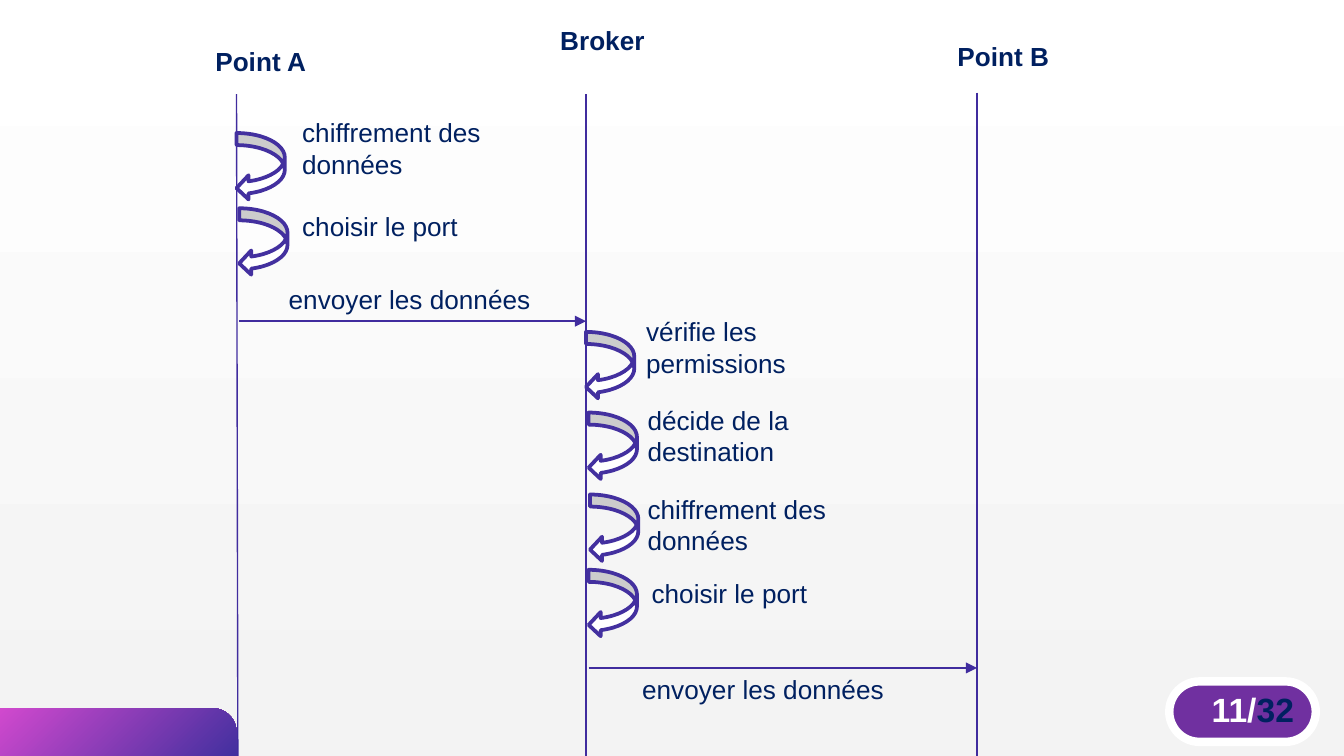
from typing import NamedTuple

from lxml import etree
from pptx import Presentation
from pptx import util as u
from pptx.dml.color import RGBColor
from pptx.enum import shapes, text
from pptx.oxml import ns

COLOURS = {
    "line": "402C9E",
    "arrow": "43309F",
    "text": "002060",
    "white": "FFFFFF",
    "grey": "F3F3F3",
    "pink": "D149CE",
    "badge": "7030A0",
}
FONT = "Arial"
SLIDE_WIDTH = 10
SLIDE_HEIGHT = SLIDE_WIDTH * 9 / 16
CORNER_TOP = 5.27
LOOP_WIDTH, LOOP_HEIGHT = 0.36, 0.5
ONE_LINE, TWO_LINES = 0.34, 0.57


class Lifeline(NamedTuple):
    x: float
    top: float
    end_x: float


class Label(NamedTuple):
    wording: str
    left: float
    top: float
    width: float
    height: float = ONE_LINE
    heading: bool = False


class Loop(NamedTuple):
    left: float
    top: float


class Message(NamedTuple):
    start_x: float
    end_x: float
    y: float


LIFELINES = [
    Lifeline(1.76, 0.7, 1.77),
    Lifeline(4.36, 0.7, 4.36),
    Lifeline(7.27, 0.69, 7.27),
]
LOOPS = [
    Loop(1.76, 0.99),
    Loop(1.78, 1.55),
    Loop(4.36, 2.47),
    Loop(4.38, 3.07),
    Loop(4.39, 3.68),
    Loop(4.38, 4.24),
]
MESSAGES = [Message(1.78, 4.36, 2.39), Message(4.38, 7.27, 4.97)]
LABELS = [
    Label("Point A", 1.03, 0.29, 1.82, heading=True),
    Label("Broker ", 3.78, 0.13, 1.46, heading=True),
    Label("Point B", 6.7, 0.25, 1.53, heading=True),
    Label("chiffrement des données", 2.15, 0.82, 1.64, TWO_LINES),
    Label("choisir le port", 2.15, 1.52, 1.47),
    Label("envoyer les données", 2.05, 2.06, 2.23),
    Label("vérifie les permissions", 4.71, 2.3, 1.64, TWO_LINES),
    Label("décide de la destination", 4.72, 2.96, 1.64, TWO_LINES),
    Label("chiffrement des données", 4.72, 3.62, 1.64, TWO_LINES),
    Label("choisir le port", 4.75, 4.25, 1.47),
    Label("envoyer les données", 4.68, 4.96, 2.23),
]


def colour(name: str) -> RGBColor:
    return RGBColor.from_string(COLOURS[name])


def fill_gradient(fill, start: str, end: str, angle: float) -> None:
    fill.gradient()
    fill.gradient_angle = angle
    for stop, name in zip(fill.gradient_stops, (start, end)):
        stop.color.rgb = colour(name)


def format_run(run, size: float, name: str, bold: bool) -> None:
    run.font.name = FONT
    run.font.size = u.Pt(size)
    run.font.bold = bold
    run.font.color.rgb = colour(name)


def add_preset(slide, preset, left: float, top: float, width: float, height: float):
    shape = slide.shapes.add_shape(
        preset, u.Inches(left), u.Inches(top), u.Inches(width), u.Inches(height)
    )
    shape.shadow.inherit = False
    return shape


def add_line(slide, x1: float, y1: float, x2: float, y2: float):
    connector = slide.shapes.add_connector(
        shapes.MSO_CONNECTOR.STRAIGHT,
        u.Inches(x1), u.Inches(y1), u.Inches(x2), u.Inches(y2),
    )
    connector.line.color.rgb = colour("line")
    connector.line.width = u.Pt(0.75)
    etree.SubElement(connector._element.spPr, ns.qn("a:effectLst"))
    return connector


def add_lifeline(slide, lifeline: Lifeline) -> None:
    add_line(slide, lifeline.x, lifeline.top, lifeline.end_x, SLIDE_HEIGHT)


def add_message(slide, message: Message) -> None:
    connector = add_line(slide, message.start_x, message.y, message.end_x, message.y)
    line = connector.line._get_or_add_ln()
    etree.SubElement(line, ns.qn("a:tailEnd"), type="triangle")


def add_loop(slide, loop: Loop) -> None:
    shape = add_preset(
        slide, shapes.MSO_SHAPE.CURVED_LEFT_ARROW, *loop, LOOP_WIDTH, LOOP_HEIGHT
    )
    shape.fill.solid()
    shape.fill.fore_color.rgb = colour("white")
    shape.line.color.rgb = colour("arrow")
    shape.line.width = u.Pt(2)


def add_label(slide, label: Label) -> None:
    shape = slide.shapes.add_textbox(
        u.Inches(label.left), u.Inches(label.top),
        u.Inches(label.width), u.Inches(label.height),
    )
    text_frame = shape.text_frame
    text_frame.word_wrap = True
    text_frame.auto_size = text.MSO_AUTO_SIZE.SHAPE_TO_FIT_TEXT
    text_frame.text = label.wording
    paragraph = text_frame.paragraphs[0]
    paragraph.alignment = text.PP_ALIGN.CENTER if label.heading else text.PP_ALIGN.LEFT
    format_run(paragraph.runs[0], 14, "text", label.heading)


def add_corner(slide) -> None:
    shape = add_preset(
        slide, shapes.MSO_SHAPE.ROUND_1_RECTANGLE,
        0, CORNER_TOP, 1.76, SLIDE_HEIGHT - CORNER_TOP,
    )
    shape.adjustments[0] = 0.5
    fill_gradient(shape.fill, "pink", "arrow", 315)
    shape.line.fill.background()


def add_page_badge(slide) -> None:
    shape = add_preset(
        slide, shapes.MSO_SHAPE.ROUNDED_RECTANGLE, 8.7, 5.07, 1.09, 0.45
    )
    shape.adjustments[0] = 0.5
    shape.fill.solid()
    shape.fill.fore_color.rgb = colour("badge")
    shape.line.color.rgb = colour("white")
    shape.line.width = u.Pt(4.5)
    text_frame = shape.text_frame
    text_frame.word_wrap = False
    text_frame.vertical_anchor = text.MSO_ANCHOR.MIDDLE
    text_frame.margin_left = u.Inches(0.25)
    text_frame.margin_right = text_frame.margin_top = 0
    text_frame.margin_bottom = u.Inches(0.04)
    paragraph = text_frame.paragraphs[0]
    paragraph.alignment = text.PP_ALIGN.LEFT
    for wording, name in (("11/", "white"), ("32", "text")):
        run = paragraph.add_run()
        run.text = wording
        format_run(run, 18, name, True)


def main() -> None:
    presentation = Presentation()
    presentation.slide_width = u.Inches(SLIDE_WIDTH)
    presentation.slide_height = u.Inches(SLIDE_HEIGHT)
    slide = presentation.slides.add_slide(presentation.slide_layouts[6])
    fill_gradient(slide.background.fill, "white", "grey", 270)
    add_corner(slide)
    for lifeline in LIFELINES:
        add_lifeline(slide, lifeline)
    for loop in LOOPS:
        add_loop(slide, loop)
    for message in MESSAGES:
        add_message(slide, message)
    for label in LABELS:
        add_label(slide, label)
    add_page_badge(slide)
    presentation.save("out.pptx")


if __name__ == "__main__":
    main()
